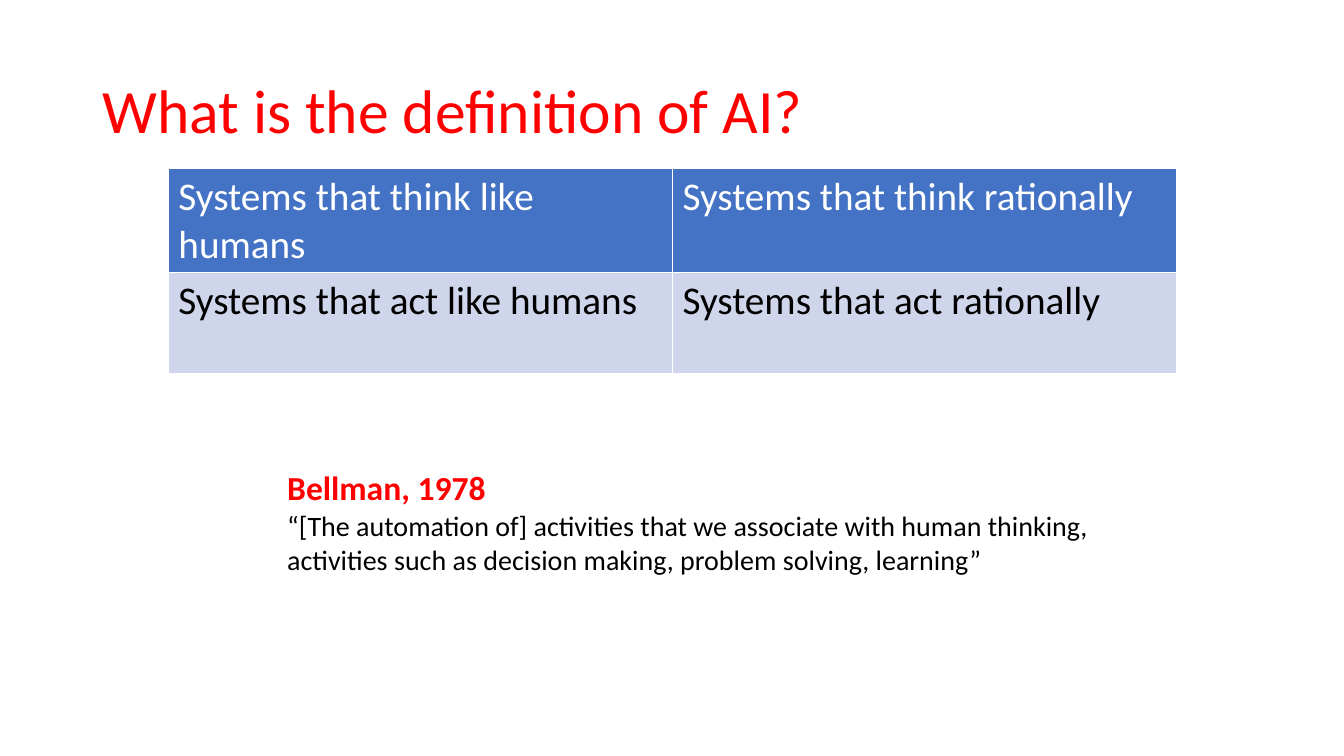
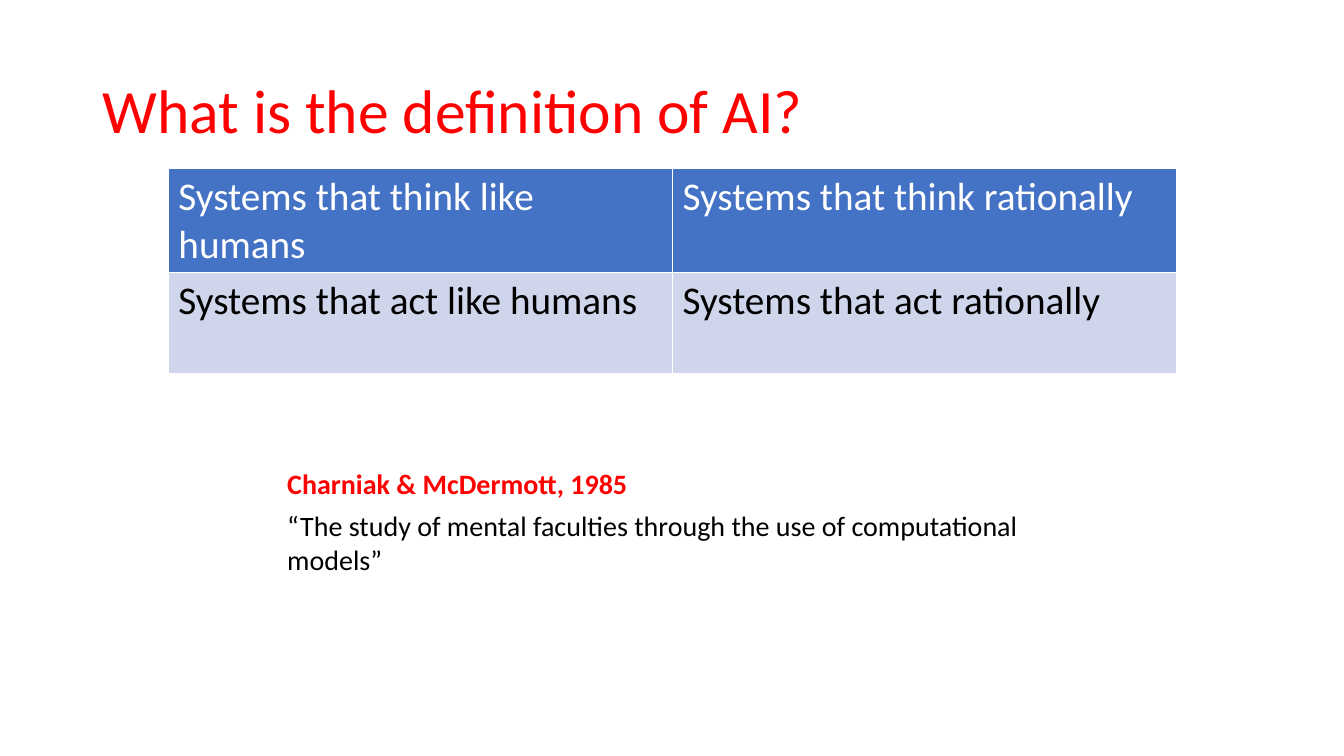
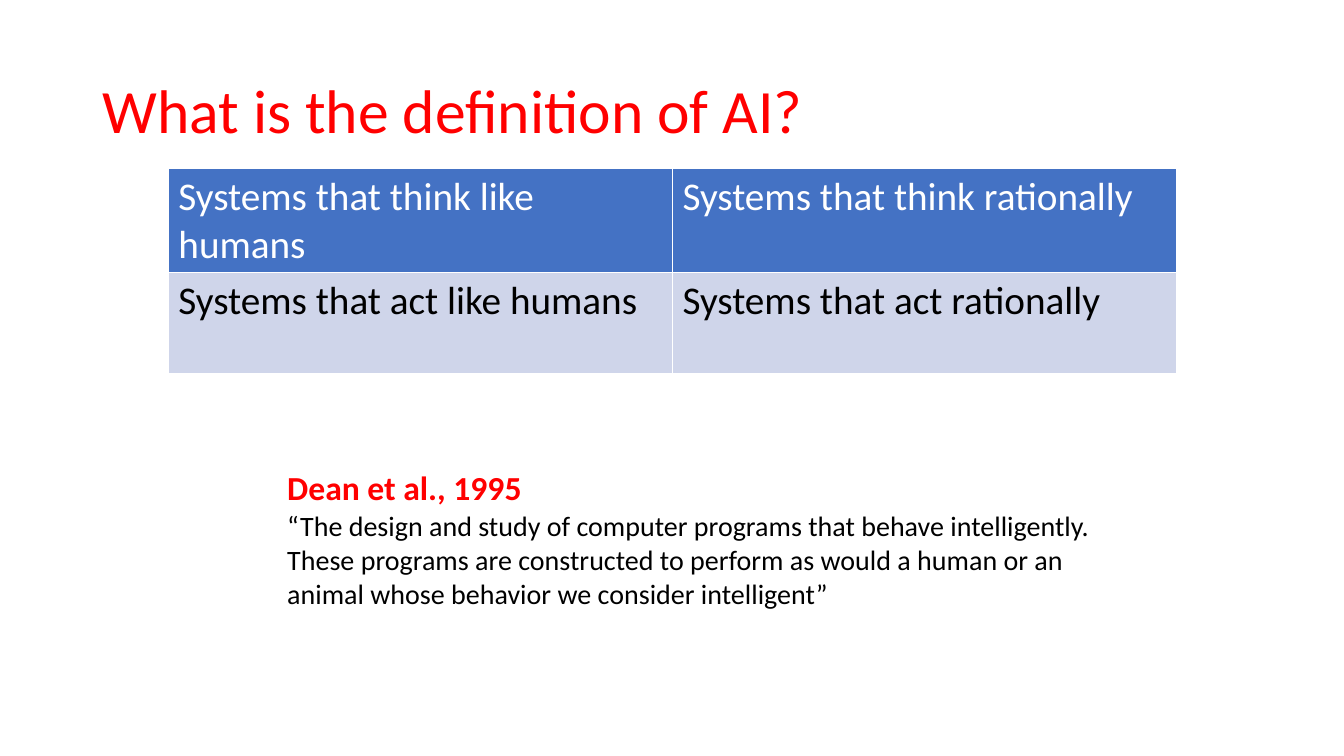
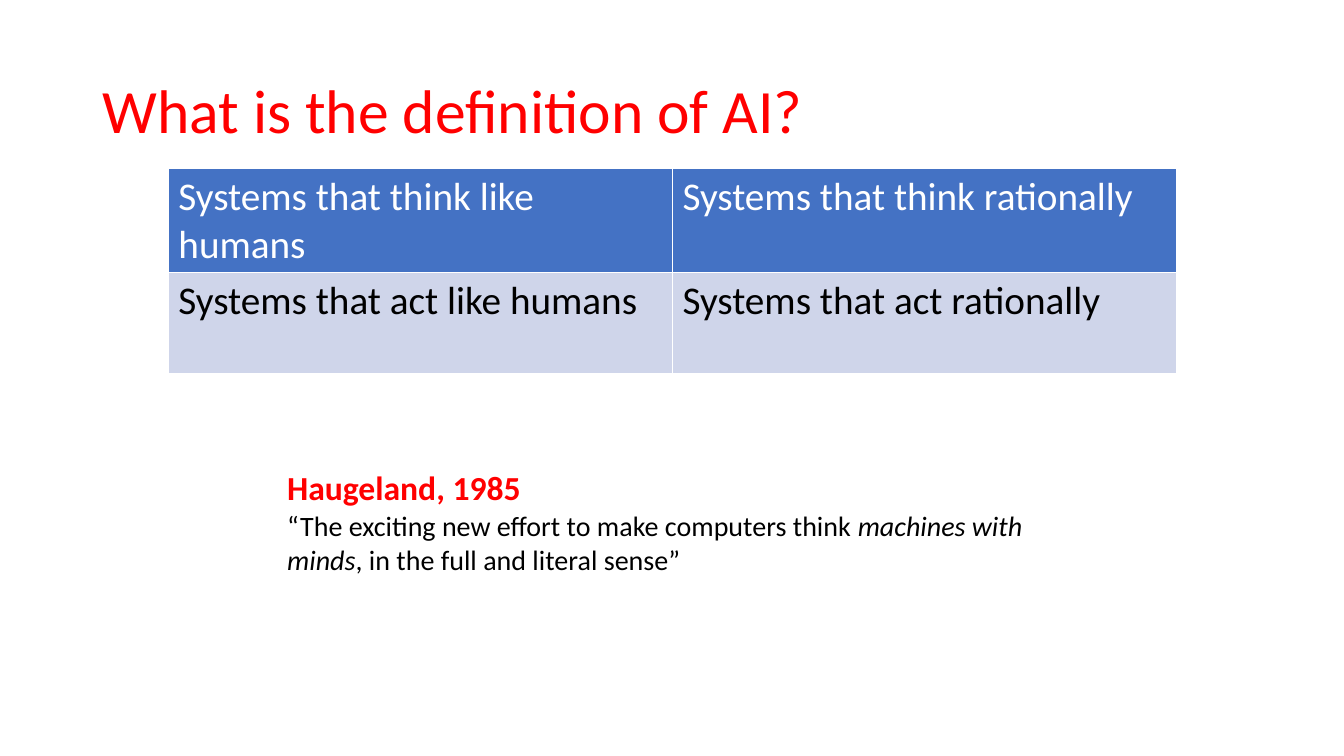
from dataclasses import dataclass

from lxml.etree import SubElement
from pptx import Presentation
from pptx.dml.color import RGBColor
from pptx.enum.text import MSO_ANCHOR as Anchor, MSO_AUTO_SIZE as AutoSize
from pptx.oxml.ns import qn
from pptx.util import Inches, Pt


@dataclass(frozen=True)
class Theme:
    font: str = "Calibri"
    red: str = "FF0000"
    black: str = "000000"
    white: str = "FFFFFF"
    header_fill: str = "4472C4"
    body_fill: str = "CFD5EA"
    title_size: int = 44
    table_size: int = 28
    author_size: int = 24
    quote_size: int = 20
    border_width: int = 1


TITLE = "What is the definition of AI?"
APPROACHES = [
    ["Systems that think like humans", "Systems that think rationally"],
    ["Systems that act like humans", "Systems that act rationally"],
]
ROW_HEIGHTS = [0.97, 1]
TEXT_LEFT = 2.75


@dataclass
class Definition:
    """A cited definition; its runs alternate between upright and italic."""
    author: str
    author_width: float
    runs: list
    quote_height: float = 0.77
    author_size: int = Theme.author_size
    author_height: float = 0.5


DEFINITIONS = [
    Definition("Bellman, 1978", 2.19, [
        "“[The automation of] activities that we associate with human thinking, "
        "activities such as decision making, problem solving, learning”"]),
    Definition("Charniak & McDermott, 1985", 3.61, [
        "“The study of mental faculties through the use of computational models”"],
        author_size=Theme.quote_size, author_height=0.44),
    Definition("Dean et al., 1995", 2.55, [
        "“The design and study of computer programs that behave intelligently. "
        "These programs are constructed to perform as would a human or an animal "
        "whose behavior we consider intelligent”"], quote_height=1.11),
    Definition("Haugeland, 1985", 2.54, [
        "“The exciting new effort to make computers think ",
        "machines with minds",
        ", in the full and literal sense”"]),
]


class Deck:
    def __init__(self, theme):
        self.theme = theme
        self.presentation = Presentation()
        self.presentation.slide_width = Inches(13.33)
        self.presentation.slide_height = Inches(7.5)
        self.slide = None

    def add_slide(self):
        blank_layout = self.presentation.slide_layouts[6]
        self.slide = self.presentation.slides.add_slide(blank_layout)

    def add_text(self, paragraph, text, size, color, bold=False, italic=False):
        run = paragraph.add_run()
        run.text = text
        formats = {"name": self.theme.font, "size": Pt(size),
                   "bold": bold, "italic": italic}
        for name, value in formats.items():
            setattr(run.font, name, value)
        run.font.color.rgb = RGBColor.from_string(color)

    def add_text_box(self, left, top, width, height, **frame_formats):
        """Add an empty text box and return its first paragraph."""
        shape = self.slide.shapes.add_textbox(*map(Inches, (left, top, width, height)))
        formats = {"word_wrap": True, **frame_formats}
        for name, value in formats.items():
            setattr(shape.text_frame, name, value)
        return shape.text_frame.paragraphs[0]

    def add_title(self, text):
        paragraph = self.add_text_box(0.92, 0.4, 11.5, 1.45,
                                      vertical_anchor=Anchor.MIDDLE)
        paragraph.line_spacing = 0.9
        self.add_text(paragraph, text, self.theme.title_size, self.theme.red)

    def add_table(self, rows):
        theme = self.theme
        frame = self.slide.shapes.add_table(
            len(rows), len(rows[0]), Inches(1.67), Inches(1.67),
            Inches(10), Inches(sum(ROW_HEIGHTS)))
        table = frame.table
        for row_index, texts in enumerate(rows):
            table.rows[row_index].height = Inches(ROW_HEIGHTS[row_index])
            is_header = row_index == 0
            fill = theme.header_fill if is_header else theme.body_fill
            color = theme.white if is_header else theme.black
            for column_index, text in enumerate(texts):
                cell = table.cell(row_index, column_index)
                self.add_borders(cell)
                cell.fill.solid()
                cell.fill.fore_color.rgb = RGBColor.from_string(fill)
                self.add_text(cell.text_frame.paragraphs[0], text,
                              theme.table_size, color)

    def add_borders(self, cell):
        """Outline a cell; call before filling, since lines precede the fill."""
        properties = cell._tc.get_or_add_tcPr()
        for side in ("lnL", "lnR", "lnT", "lnB"):
            line = SubElement(properties, qn(f"a:{side}"),
                              w=str(Pt(self.theme.border_width)))
            solid = SubElement(line, qn("a:solidFill"))
            SubElement(solid, qn("a:srgbClr"), val=self.theme.white)

    def add_definition(self, definition):
        theme = self.theme
        author = self.add_text_box(
            TEXT_LEFT, 4.58, definition.author_width, definition.author_height,
            word_wrap=False, auto_size=AutoSize.SHAPE_TO_FIT_TEXT)
        self.add_text(author, definition.author, definition.author_size,
                      theme.red, bold=True)
        quote = self.add_text_box(TEXT_LEFT, 5, 8.25, definition.quote_height,
                                  auto_size=AutoSize.SHAPE_TO_FIT_TEXT)
        for index, text in enumerate(definition.runs):
            self.add_text(quote, text, theme.quote_size, theme.black,
                          italic=index % 2 == 1)


def main():
    deck = Deck(Theme())
    for definition in DEFINITIONS:
        deck.add_slide()
        deck.add_title(TITLE)
        deck.add_table(APPROACHES)
        deck.add_definition(definition)
    deck.presentation.save("out.pptx")


if __name__ == "__main__":
    main()
